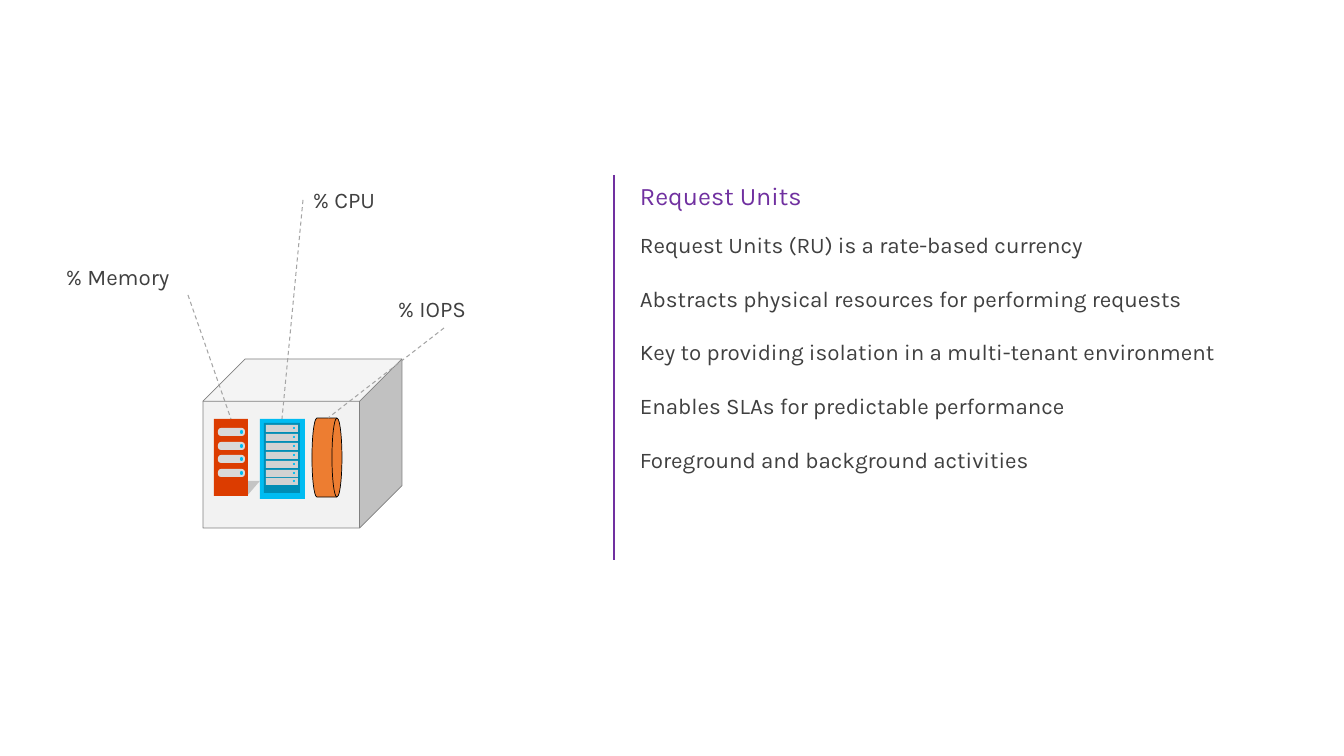
"""Build the Request Units slide with its cube of shared machine resources."""
from lxml.etree import SubElement
from pptx import Presentation
from pptx.dml.color import RGBColor
from pptx.enum.dml import MSO_LINE_DASH_STYLE as Dash
from pptx.enum.shapes import MSO_CONNECTOR as Connector, MSO_SHAPE as Shape
from pptx.enum.text import MSO_AUTO_SIZE as AutoSize
from pptx.oxml.ns import qn
from pptx.util import Emu, Pt

SCALE = 914400 / 100.8
PURPLE, TEXT, CYAN = "7030A0", "404040", "00BCF2"


def colour(value):
    return RGBColor.from_string(value)


def emu(*pixels):
    return [Emu(round(pixel * SCALE)) for pixel in pixels]


def apply(target, values):
    for name, value in values.items():
        setattr(target, name, value)


class SlideBuilder:
    def __init__(self, slide, font):
        self.slide = slide
        self.font = font

    def paint(self, shape, fill, line=None, width=0.5):
        shape.shadow.inherit = False
        shape.fill.solid()
        shape.fill.fore_color.rgb = colour(fill)
        if line:
            self.stroke(shape.line, line, {"width": Pt(width)})
        else:
            shape.line.fill.background()
        return shape

    def stroke(self, line, value, values):
        line.color.rgb = colour(value)
        apply(line, values)

    def shape(self, kind, box, fill, line=None):
        shape = self.slide.shapes.add_shape(kind, *emu(*box))
        return self.paint(shape, fill, line)

    def outline(self, points, fill, opacity):
        builder = self.slide.shapes.build_freeform(*points[0], scale=SCALE)
        builder.add_line_segments(points[1:], close=True)
        shape = self.paint(builder.convert_to_shape(), fill)
        solid = shape._element.spPr.find(qn("a:solidFill"))
        SubElement(solid[0], qn("a:alpha"), val=str(opacity * 1000))

    def line(self, start, end, value, **values):
        connector = self.slide.shapes.add_connector(
            Connector.STRAIGHT, *emu(*start, *end))
        self.stroke(connector.line, value, values)
        SubElement(connector._element.spPr, qn("a:effectLst"))

    def text(self, box, lines, size=16, value=TEXT, gap=0):
        frame = self.slide.shapes.add_textbox(*emu(*box)).text_frame
        apply(frame, {"word_wrap": True, "auto_size": AutoSize.SHAPE_TO_FIT_TEXT})
        for index, line in enumerate(lines):
            paragraph = frame.add_paragraph() if index else frame.paragraphs[0]
            if index:
                paragraph.space_before = Pt(gap)
            run = paragraph.add_run()
            run.text = line
            apply(run.font, {"name": self.font, "size": Pt(size)})
            run.font.color.rgb = colour(value)


presentation = Presentation()
apply(presentation, dict(zip(("slide_width", "slide_height"), emu(1344, 756))))
slide = presentation.slides.add_slide(presentation.slide_layouts[6])
builder = SlideBuilder(slide, "Karla")

builder.line((614, 175), (614, 560), PURPLE, width=Pt(1))
builder.text((630, 175, 472, 40), ["Request Units"], 18, PURPLE)
builder.text((630, 226, 632, 281), [
    "Request Units (RU) is a rate-based currency",
    "Abstracts physical resources for performing requests",
    "Key to providing isolation in a multi-tenant environment",
    "Enables SLAs for predictable performance",
    "Foreground and background activities",
], gap=19.2)

builder.shape(Shape.CUBE, (203, 359, 199, 169), "F2F2F2", "808080")

builder.outline([(231, 481), (260, 481), (247, 496), (218, 496)], "000000", 19)
builder.shape(Shape.RECTANGLE, (214, 419, 34, 77), "DC3C00")
for bay in range(4):
    top = round(428 + 13.6 * bay)
    module = builder.shape(Shape.ROUNDED_RECTANGLE, (218, top, 27, 8), "D9D9D9")
    module.adjustments[0] = 0.4
    builder.shape(Shape.OVAL, (240, top + 2, 3, 4), CYAN)

builder.shape(Shape.RECTANGLE, (260, 419, 45, 80), CYAN)
builder.shape(Shape.RECTANGLE, (264, 423, 36, 70), "008DB5")
for bay in range(7):
    top = round(425 + 8.9 * bay)
    builder.shape(Shape.RECTANGLE, (266, top, 32, 7), "D2D2D2")
    builder.shape(Shape.OVAL, (293, top + 2, 2, 2), CYAN)

drum = Shape.FLOWCHART_DIRECT_ACCESS_STORAGE
builder.shape(drum, (312, 418, 30, 79), "ED7D31", "000000")

for label, box, start, end in (
    ("% Memory", (56, 258, 264, 37), (188, 295), (231, 419)),
    ("% IOPS", (388, 290, 111, 37), (444, 328), (328, 418)),
    ("% CPU", (303, 181, 196, 37), (303, 200), (282, 419)),
):
    builder.line(start, end, "A5A5A5", width=Pt(0.75), dash_style=Dash.DASH)
    builder.text(box, [label])

presentation.save("out.pptx")
